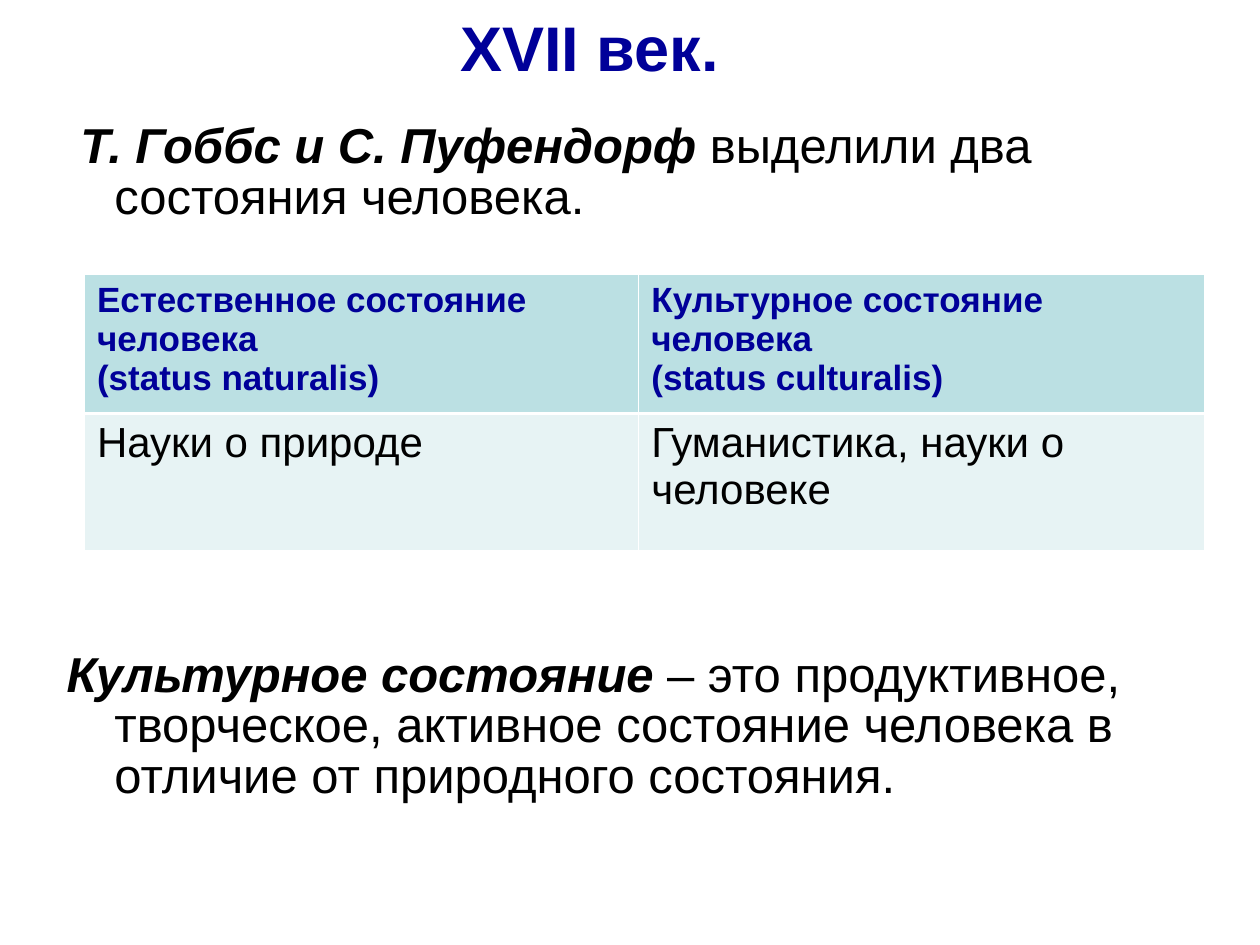
from dataclasses import dataclass

from lxml.etree import SubElement
from pptx import Presentation
from pptx.dml.color import RGBColor
from pptx.enum.text import MSO_ANCHOR, PP_ALIGN
from pptx.oxml.ns import qn
from pptx.util import Inches, Pt

NAVY = "000099"
BLACK = "000000"
WHITE = "FFFFFF"
THIN, THICK = 0.45, 1.47


@dataclass(frozen=True)
class Span:
    text: str
    size: float
    color: str = BLACK
    bold: bool = False
    italic: bool = False


@dataclass(frozen=True)
class Para:
    spans: tuple[Span, ...]
    layout: dict
    left: float = 0
    first: float = 0


@dataclass(frozen=True)
class Row:
    height: float
    fill: str
    cells: tuple[tuple[str, ...], ...]
    size: float
    color: str
    bold: bool
    borders: dict[str, float]


def rgb(value: str) -> RGBColor:
    return RGBColor.from_string(value)


def apply(target, values: dict) -> None:
    for name, value in values.items():
        setattr(target, name, value)


def write(frame, paras: list[Para]) -> None:
    for index, item in enumerate(paras):
        para = frame.paragraphs[0] if index == 0 else frame.add_paragraph()
        apply(para, item.layout)
        if item.left:
            properties = para._p.get_or_add_pPr()
            properties.set("marL", str(Inches(item.left)))
            properties.set("indent", str(Inches(item.first)))
        for span in item.spans:
            run = para.add_run()
            run.text = span.text
            apply(run.font, {"name": "Arial", "size": Pt(span.size),
                             "bold": span.bold, "italic": span.italic})
            run.font.color.rgb = rgb(span.color)


def add_text(page, left: float, top: float, width: float, height: float,
             anchor: MSO_ANCHOR, paras: list[Para]) -> None:
    box = page.shapes.add_textbox(Inches(left), Inches(top), Inches(width), Inches(height))
    apply(box.text_frame, {"word_wrap": True, "vertical_anchor": anchor})
    write(box.text_frame, paras)


def add_borders(cell, borders: dict[str, float]) -> None:
    properties = cell._tc.get_or_add_tcPr()
    for index, (side, width) in enumerate(borders.items()):
        line = SubElement(properties, qn(f"a:ln{side}"), w=str(Pt(width)))
        fill = SubElement(line, qn("a:solidFill"))
        SubElement(fill, qn("a:srgbClr"), val=WHITE)
        properties.insert(index, line)


def add_states(page, left: float, top: float, widths: list[float], rows: list[Row]) -> None:
    height = sum(row.height for row in rows)
    table = page.shapes.add_table(len(rows), len(widths), Inches(left), Inches(top),
                                  Inches(sum(widths)), Inches(height)).table
    for column, width in zip(table.columns, widths):
        column.width = Inches(width)
    for row_index, row in enumerate(rows):
        table.rows[row_index].height = Inches(row.height)
        for column_index, lines in enumerate(row.cells):
            cell = table.cell(row_index, column_index)
            cell.fill.solid()
            cell.fill.fore_color.rgb = rgb(row.fill)
            add_borders(cell, row.borders)
            write(cell.text_frame,
                  [Para((Span(line, row.size, row.color, row.bold),), {}) for line in lines])


def main() -> None:
    deck = Presentation()
    apply(deck, {"slide_width": Inches(10), "slide_height": Inches(7.5)})
    page = deck.slides.add_slide(deck.slide_layouts[6])

    add_text(page, 0.03, 0.05, 9.3, 0.64, MSO_ANCHOR.MIDDLE, [
        Para((Span("XVII век.", 36, NAVY, True),), {"alignment": PP_ALIGN.CENTER}),
    ])
    add_text(page, 0.43, 0.93, 9, 6.04, MSO_ANCHOR.TOP, [
        Para((Span("Т. Гоббс и С. Пуфендорф ", 28, bold=True, italic=True),
              Span("выделили два состояния человека.", 28)),
             {"line_spacing": 0.86}, 0.38, -0.27),
        Para((Span("Культурное состояние", 28, bold=True, italic=True),
              Span(" – это продуктивное, творческое, активное состояние человека "
                   "в отличие от природного состояния.", 28)),
             {"line_spacing": 0.86, "space_before": Pt(244)}, 0.38, -0.38),
    ])
    add_states(page, 0.67, 2.18, [4.4, 4.49], [
        Row(1.1, "BBE0E3",
            (("Естественное состояние человека", "(status naturalis)"),
             ("Культурное состояние человека", "(status culturalis)")),
            20, NAVY, True, {"L": THIN, "R": THIN, "T": THIN, "B": THICK}),
        Row(1.09, "E7F3F4",
            (("Науки о природе",), ("Гуманистика, науки о человеке",)),
            24, BLACK, False, {"L": THIN, "R": THIN, "T": THICK, "B": THIN}),
    ])
    deck.save("out.pptx")


if __name__ == "__main__":
    main()
